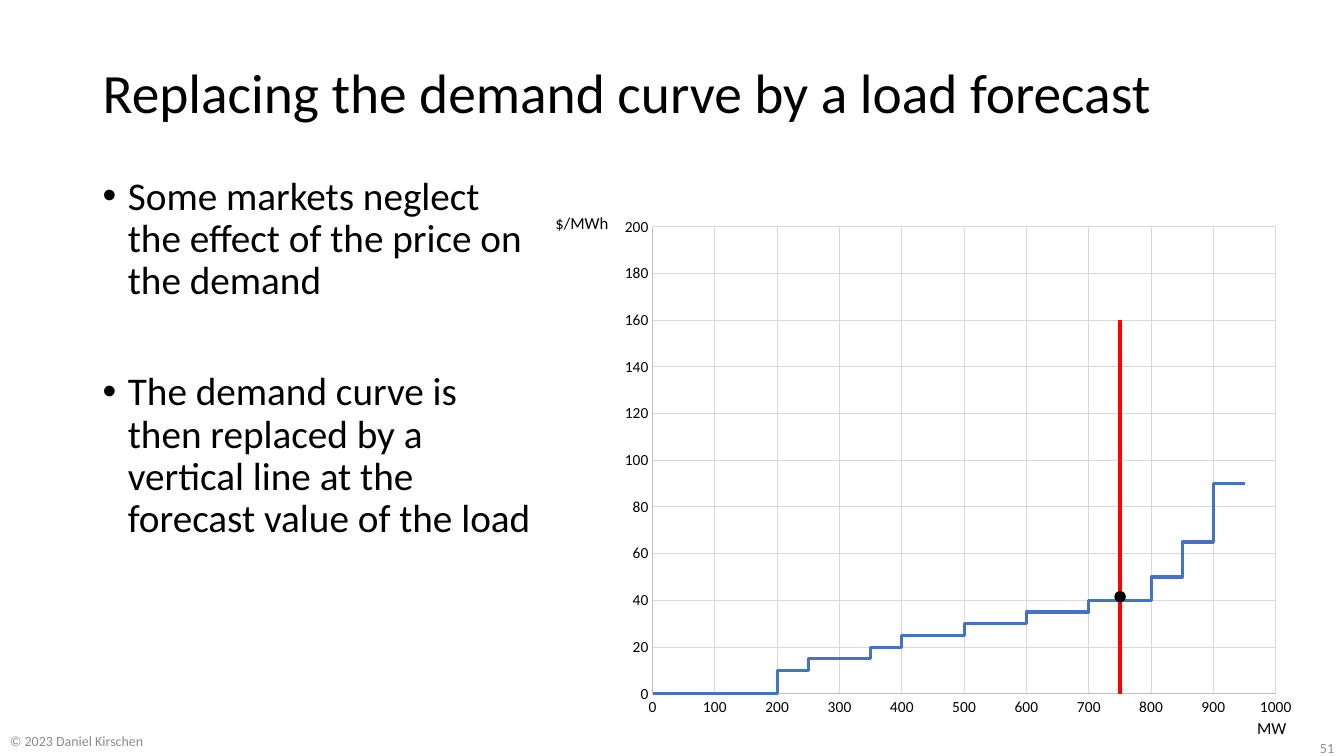
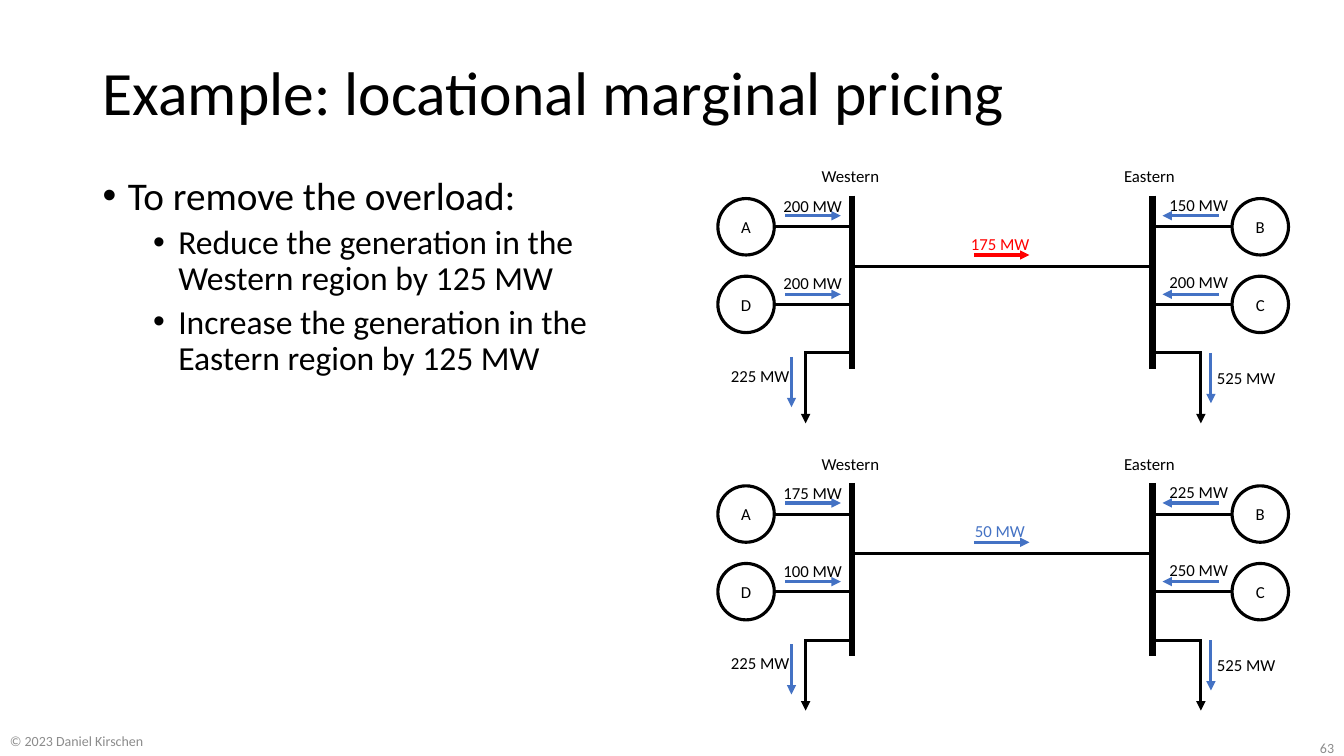
import pptx
import pptx.chart.data
import pptx.dml.color
import pptx.enum.chart
import pptx.enum.shapes
import pptx.enum.text
import pptx.oxml
import pptx.oxml.ns
import pptx.util

PX = 9144  # 100 px to the inch
FONT = "Calibri"
RGBColor = pptx.dml.color.RGBColor
BLACK = RGBColor(0x00, 0x00, 0x00)
WHITE = RGBColor(0xFF, 0xFF, 0xFF)
GREY = RGBColor(0x8C, 0x8C, 0x8C)
AXIS_GREY = RGBColor(0xBF, 0xBF, 0xBF)
GRID_GREY = RGBColor(0xD9, 0xD9, 0xD9)
BLUE = RGBColor(0x44, 0x72, 0xC4)
RED = RGBColor(0xFF, 0x00, 0x00)
Pt = pptx.util.Pt
MIDDLE = pptx.enum.text.MSO_ANCHOR.MIDDLE
OVAL = pptx.enum.shapes.MSO_SHAPE.OVAL
NS = pptx.oxml.ns.nsdecls("a")


def add_text(s, lines, x, y, w, h, size=12, color=BLACK, wrap=False):
    """Add a text box with one paragraph per line; unwrapped boxes fit their text."""
    tf = s.shapes.add_textbox(x * PX, y * PX, w * PX, h * PX).text_frame
    tf.word_wrap = wrap
    if not wrap:
        tf.auto_size = pptx.enum.text.MSO_AUTO_SIZE.SHAPE_TO_FIT_TEXT
    tf.text = "\n".join(lines)
    for p in tf.paragraphs:
        for r in p.runs:
            r.font.name = FONT
            r.font.size = Pt(size)
            r.font.color.rgb = color
    return tf


def add_line(s, x1, y1, x2, y2, color=BLACK, width=2.25, arrow=False):
    line = s.shapes.add_connector(pptx.enum.shapes.MSO_CONNECTOR.STRAIGHT,
                                  x1 * PX, y1 * PX, x2 * PX, y2 * PX)
    line.line.color.rgb = color
    line.line.width = Pt(width)
    if arrow:
        line.line._get_or_add_ln().append(
            pptx.oxml.parse_xml(f'<a:tailEnd {NS} type="triangle"/>'))
    line._element.spPr.append(pptx.oxml.parse_xml(f"<a:effectLst {NS}/>"))


prs = pptx.Presentation()
prs.slide_width = 1333 * PX
prs.slide_height = 750 * PX

# Title, title size, body width, bullets (level, space before, text), page number
pages = [
    ("Replacing the demand curve by a load forecast", 39.6, 449, [
        (0, 10, "Some markets neglect the effect of the price on the demand"),
        (0, 49, "The demand curve is then replaced by a vertical line at the "
                "forecast value of the load"),
    ], "51"),
    ("Example: locational marginal pricing", 44, 564, [
        (0, 10, "To remove the overload:"),
        (1, 5, "Reduce the generation in the Western region by 125 MW"),
        (1, 5, "Increase the generation in the Eastern region by 125 MW"),
    ], "63"),
]
slides = []
for title, title_size, body_width, bullets, number in pages:
    s = prs.slides.add_slide(prs.slide_layouts[6])
    slides.append(s)
    tf = add_text(s, [title], 92, 40, 1150, 110, title_size, wrap=True)
    tf.vertical_anchor = MIDDLE
    tf.paragraphs[0].line_spacing = 0.9

    tf = add_text(s, [text for _, _, text in bullets], 92, 170, body_width, 507, 28, wrap=True)
    for p, (level, space, _) in zip(tf.paragraphs, bullets):
        p.level = level
        p.line_spacing = 0.9
        p.space_before = Pt(space)
        p.runs[0].font.size = Pt(28 - 4 * level)
        pPr = p._p.get_or_add_pPr()
        pPr.set("marL", str((25 + 50 * level) * PX))
        pPr.set("indent", str(-25 * PX))
        pPr.append(pptx.oxml.parse_xml(f'<a:buFont {NS} typeface="Arial"/>'))
        pPr.append(pptx.oxml.parse_xml(f'<a:buChar {NS} char="•"/>'))

    tf = add_text(s, ["© 2023 Daniel Kirschen"], 0, 720, 323, 30, 10, GREY, wrap=True)
    tf.vertical_anchor = MIDDLE
    tf = add_text(s, [number], 1033, 726, 300, 31, 10, GREY, wrap=True)
    tf.vertical_anchor = MIDDLE
    tf.paragraphs[0].alignment = pptx.enum.text.PP_ALIGN.RIGHT

# Slide 1: stepped supply curve against a fixed load
s = slides[0]
quantities = [0, 100, 200, 250, 350, 400, 500, 600, 700, 800, 850, 900, 950]
prices = [0, 0, 10, 15, 20, 25, 30, 35, 40, 50, 65, 90]
data = pptx.chart.data.XyChartData()
supply = data.add_series("Series 1")
for start, end, price in zip(quantities, quantities[1:], prices):
    supply.add_data_point(start, price)
    supply.add_data_point(end, price)
load = data.add_series("Series 2")
for price in (0, 160):
    load.add_data_point(750, price)

chart = s.shapes.add_chart(pptx.enum.chart.XL_CHART_TYPE.XY_SCATTER_LINES_NO_MARKERS,
                           606 * PX, 206 * PX, 689 * PX, 516 * PX, data).chart
chart.has_legend = False
chart.has_title = False
chart.font.name = FONT
chart.font.size = Pt(10)
chart.font.color.rgb = BLACK
for series, color in zip(chart.plots[0].series, (BLUE, RED)):
    series.smooth = False
    series.format.line.color.rgb = color
    series.format.line.width = Pt(2.25)
for axis, top, step in ((chart.category_axis, 1000, 100), (chart.value_axis, 200, 20)):
    axis.minimum_scale = 0
    axis.maximum_scale = top
    axis.major_unit = step
    axis.major_tick_mark = pptx.enum.chart.XL_TICK_MARK.NONE
    axis.minor_tick_mark = pptx.enum.chart.XL_TICK_MARK.NONE
    axis.has_major_gridlines = True
    axis.tick_labels.font.name = FONT
    axis.tick_labels.font.size = Pt(11)
    axis.tick_labels.font.color.rgb = BLACK
    for fmt, color in ((axis.format, AXIS_GREY), (axis.major_gridlines.format, GRID_GREY)):
        fmt.line.color.rgb = color
        fmt.line.width = Pt(0.75)

plot_area = chart._chartSpace.chart.plotArea
for old in plot_area.findall(pptx.oxml.ns.qn("c:layout")):
    plot_area.remove(old)
plot_area.insert(0, pptx.oxml.parse_xml(
    f'<c:layout {pptx.oxml.ns.nsdecls("c")}><c:manualLayout><c:layoutTarget val="inner"/>'
    '<c:xMode val="edge"/><c:yMode val="edge"/>'
    '<c:x val="0.06"/><c:y val="0.037"/><c:w val="0.897"/><c:h val="0.898"/>'
    '</c:manualLayout></c:layout>'))

add_text(s, ["MW"], 1237, 707, 49, 30)
add_text(s, ["$/MWh"], 541, 206, 73, 30)
dot = s.shapes.add_shape(OVAL, 1106 * PX, 587 * PX, 10 * PX, 10 * PX)
dot.shadow.inherit = False
dot.fill.solid()
dot.fill.fore_color.rgb = BLACK
dot.line.color.rgb = BLACK
dot.line.width = Pt(1)

# Slide 2: the same two-bus network before and after redispatch
s = slides[1]
# Region, its label (x, width), bus x, circle left, circle edge, flow arrow from and to,
# flow label (x, y), load x, load corner x, load arrow (x, y), load label (x, y), units
regions = [
    ("Western", 805, 78, 845, 712, 768, 779, 834, 767, 189, 799, 797, 785, 354, 715, 358, "AD"),
    ("Eastern", 1105, 71, 1143, 1222, 1222, 1209, 1153, 1150, 188, 1191, 1192, 1201, 350,
     1197, 360, "BC"),
]
# Top offset, unit outputs and load by region, tie-line label, x, width and colour
cases = [
    (0, [(200, 200, 225), (150, 200, 525)], "175 MW", 953, 79, RED),
    (285, [(175, 100, 225), (225, 250, 525)], "50 MW", 957, 71, BLUE),
]
for dy, flows, tie_label, tie_x, tie_width, tie_color in cases:
    for region, (*outputs, demand) in zip(regions, flows):
        (name, name_x, name_width, bus_x, circle_x, edge_x, flow_from, flow_to, flow_x, flow_y,
         load_x, corner_x, arrow_x, arrow_y, demand_x, demand_y, units) = region
        add_line(s, bus_x, 194 + dy, bus_x, 366 + dy, width=4.5)
        add_text(s, [name], name_x, 160 + dy, name_width, 30)
        for i, (unit, output) in enumerate(zip(units, outputs)):
            y = dy + 77 * i
            circle = s.shapes.add_shape(OVAL, circle_x * PX, (197 + y) * PX, 56 * PX, 56 * PX)
            circle.shadow.inherit = False
            circle.fill.solid()
            circle.fill.fore_color.rgb = WHITE
            circle.line.color.rgb = BLACK
            circle.line.width = Pt(2.25)
            tf = circle.text_frame
            tf.text = unit
            tf.vertical_anchor = MIDDLE
            p = tf.paragraphs[0]
            p.alignment = pptx.enum.text.PP_ALIGN.CENTER
            r = p.runs[0]
            r.font.name = FONT
            r.font.size = Pt(12)
            r.font.color.rgb = BLACK
            add_line(s, edge_x, 225 + y, bus_x, 225 + y)
            add_line(s, flow_from, 214 + dy + 78 * i, flow_to, 214 + dy + 78 * i, BLUE, arrow=True)
            add_text(s, [f"{output} MW"], flow_x, flow_y + y, 79, 30)
        add_line(s, bus_x, 350 + dy, corner_x, 350 + dy)
        add_line(s, load_x, 350 + dy, load_x, 420 + dy, arrow=True)
        add_line(s, arrow_x, arrow_y + dy, arrow_x, arrow_y + 50 + dy, BLUE, arrow=True)
        add_text(s, [f"{demand} MW"], demand_x, demand_y + dy, 79, 30)
    add_line(s, 846, 264 + dy, 1142, 264 + dy)
    add_line(s, 966, 253 + dy, 1021, 253 + dy, tie_color, arrow=True)
    add_text(s, [tie_label], tie_x, 227 + dy, tie_width, 30, color=tie_color)

prs.save("out.pptx")
